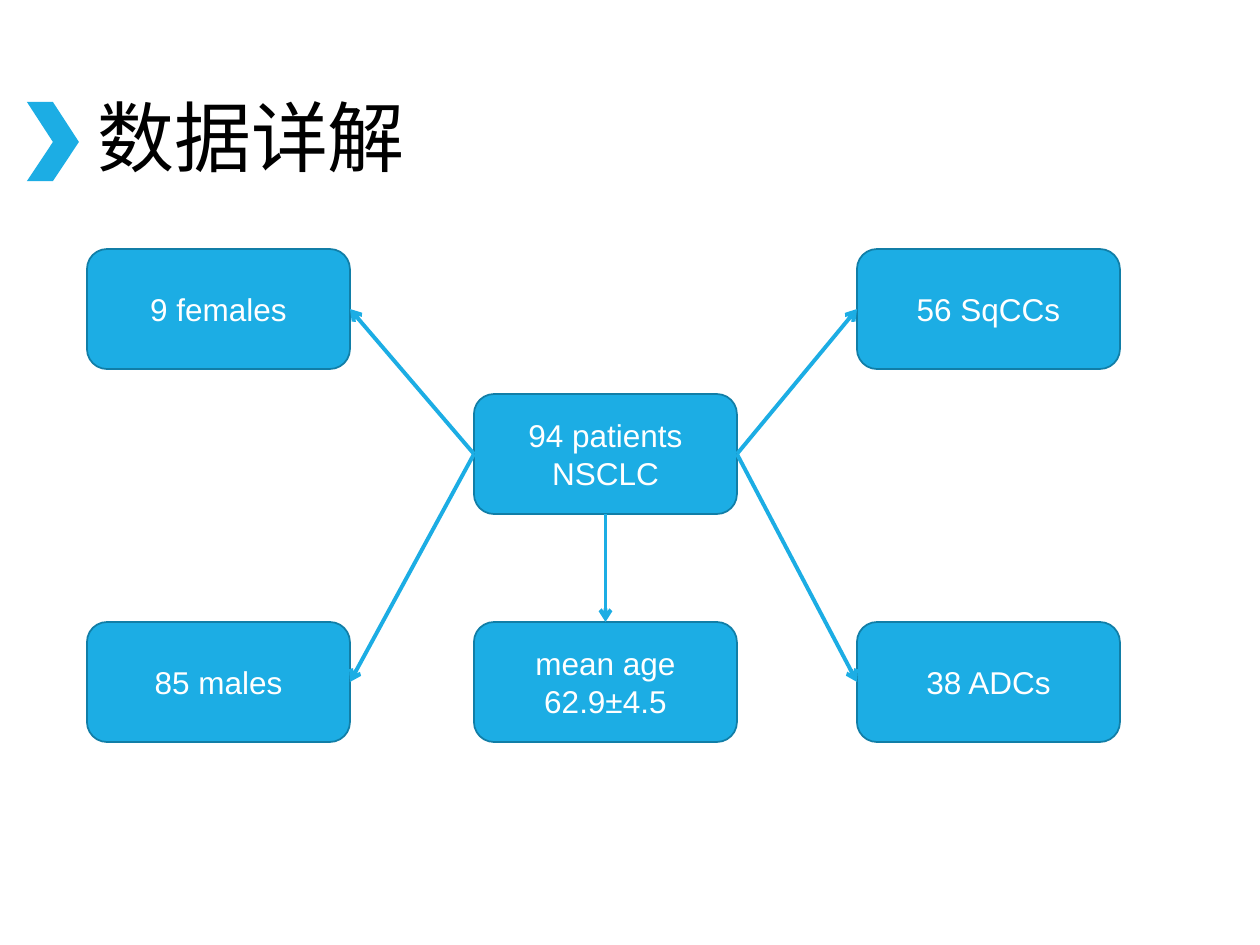
from dataclasses import dataclass

import lxml.etree
import pptx
import pptx.dml.color
import pptx.enum.shapes
import pptx.enum.text
import pptx.oxml.ns
import pptx.util

PX_PER_INCH = 126
BOX_WIDTH, BOX_HEIGHT = 263, 120
COLUMNS = {"left": 87, "middle": 474, "right": 857}
ROWS = {"upper": 249, "centre": 394, "lower": 622}
TOP, LEFT, BOTTOM, RIGHT = range(4)
BOXES = {
    "patients": ("middle", "centre", ["94 patients", "NSCLC"]),
    "females": ("left", "upper", ["9 females"]),
    "males": ("left", "lower", ["85 males"]),
    "age": ("middle", "lower", ["mean age 62.9±4.5"]),
    "adcs": ("right", "lower", ["38 ADCs"]),
    "sqccs": ("right", "upper", ["56 SqCCs"]),
}
ARROWS = [
    ("females", LEFT, RIGHT),
    ("males", LEFT, RIGHT),
    ("sqccs", RIGHT, LEFT),
    ("adcs", RIGHT, LEFT),
    ("age", BOTTOM, TOP),
]


@dataclass(frozen=True)
class Theme:
    """Colours, font and sizes in points."""

    accent: str = "1CADE4"
    outline: str = "117EA7"
    title: str = "000000"
    label: str = "FFFFFF"
    font: str = "Arial"
    title_size: float = 44
    label_size: float = 18
    outline_width: float = 1
    arrow_width: float = 2.25


THEME = Theme()


def px(length):
    """Turn a length in px into EMU."""
    return pptx.util.Emu(round(length * 914400 / PX_PER_INCH))


def rgb(value):
    """Turn a hex string into a colour."""
    return pptx.dml.color.RGBColor.from_string(value)


def apply(target, values):
    """Set each attribute named in a dict of format values."""
    for name, value in values.items():
        setattr(target, name, value)


def paint(shape, fill):
    """Give a shape a solid fill and no shadow."""
    shape.shadow.inherit = False
    shape.fill.solid()
    shape.fill.fore_color.rgb = rgb(fill)


def write(frame, lines, size, colour, frame_format, para_format):
    """Write one paragraph per line into a text frame."""
    apply(frame, {
        "word_wrap": True,
        "vertical_anchor": pptx.enum.text.MSO_ANCHOR.MIDDLE,
        **frame_format,
    })
    for index, line in enumerate(lines):
        para = frame.add_paragraph() if index else frame.paragraphs[0]
        apply(para, para_format)
        span = para.add_run()
        span.text = line
        apply(span.font, {"name": THEME.font, "size": pptx.util.Pt(size)})
        span.font.color.rgb = rgb(colour)


def add_chevron(page):
    """Draw the chevron beside the title."""
    builder = page.shapes.build_freeform(27, 102, scale=px(1))
    builder.add_line_segments([(53, 102), (79, 142), (53, 181), (27, 181), (53, 142)])
    chevron = builder.convert_to_shape()
    paint(chevron, THEME.accent)
    chevron.line.fill.background()


def add_title(page, text):
    """Add the slide title."""
    box = page.shapes.add_textbox(px(87), px(50), px(1087), px(183))
    insets = {
        "margin_left": px(10), "margin_right": px(10),
        "margin_top": px(5), "margin_bottom": px(5),
    }
    write(box.text_frame, [text], THEME.title_size, THEME.title, insets,
          {"line_spacing": 0.9})


def add_box(page, column, row, lines):
    """Add a rounded box at a grid position."""
    box = page.shapes.add_shape(
        pptx.enum.shapes.MSO_SHAPE.ROUNDED_RECTANGLE,
        px(COLUMNS[column]), px(ROWS[row]), px(BOX_WIDTH), px(BOX_HEIGHT))
    paint(box, THEME.accent)
    box.line.color.rgb = rgb(THEME.outline)
    box.line.width = pptx.util.Pt(THEME.outline_width)
    write(box.text_frame, lines, THEME.label_size, THEME.label, {},
          {"alignment": pptx.enum.text.PP_ALIGN.CENTER})
    return box


def add_arrow(page, source, source_side, target, target_side):
    """Join two boxes with an arrow."""
    arrow = page.shapes.add_connector(
        pptx.enum.shapes.MSO_CONNECTOR.STRAIGHT, 0, 0, 0, 0)
    arrow.begin_connect(source, source_side)
    arrow.end_connect(target, target_side)
    arrow.line.color.rgb = rgb(THEME.accent)
    arrow.line.width = pptx.util.Pt(THEME.arrow_width)
    qn = pptx.oxml.ns.qn
    lxml.etree.SubElement(arrow.line._get_or_add_ln(), qn("a:tailEnd"), type="arrow")
    lxml.etree.SubElement(arrow._element.spPr, qn("a:effectLst"))


def main():
    """Build and save the deck."""
    deck = pptx.Presentation()
    apply(deck, {"slide_width": px(1260), "slide_height": px(945)})
    page = deck.slides.add_slide(deck.slide_layouts[6])
    add_chevron(page)
    add_title(page, "数据详解")
    boxes = {name: add_box(page, *details) for name, details in BOXES.items()}
    for name, source_side, target_side in ARROWS:
        add_arrow(page, boxes["patients"], source_side, boxes[name], target_side)
    deck.save("out.pptx")


if __name__ == "__main__":
    main()
